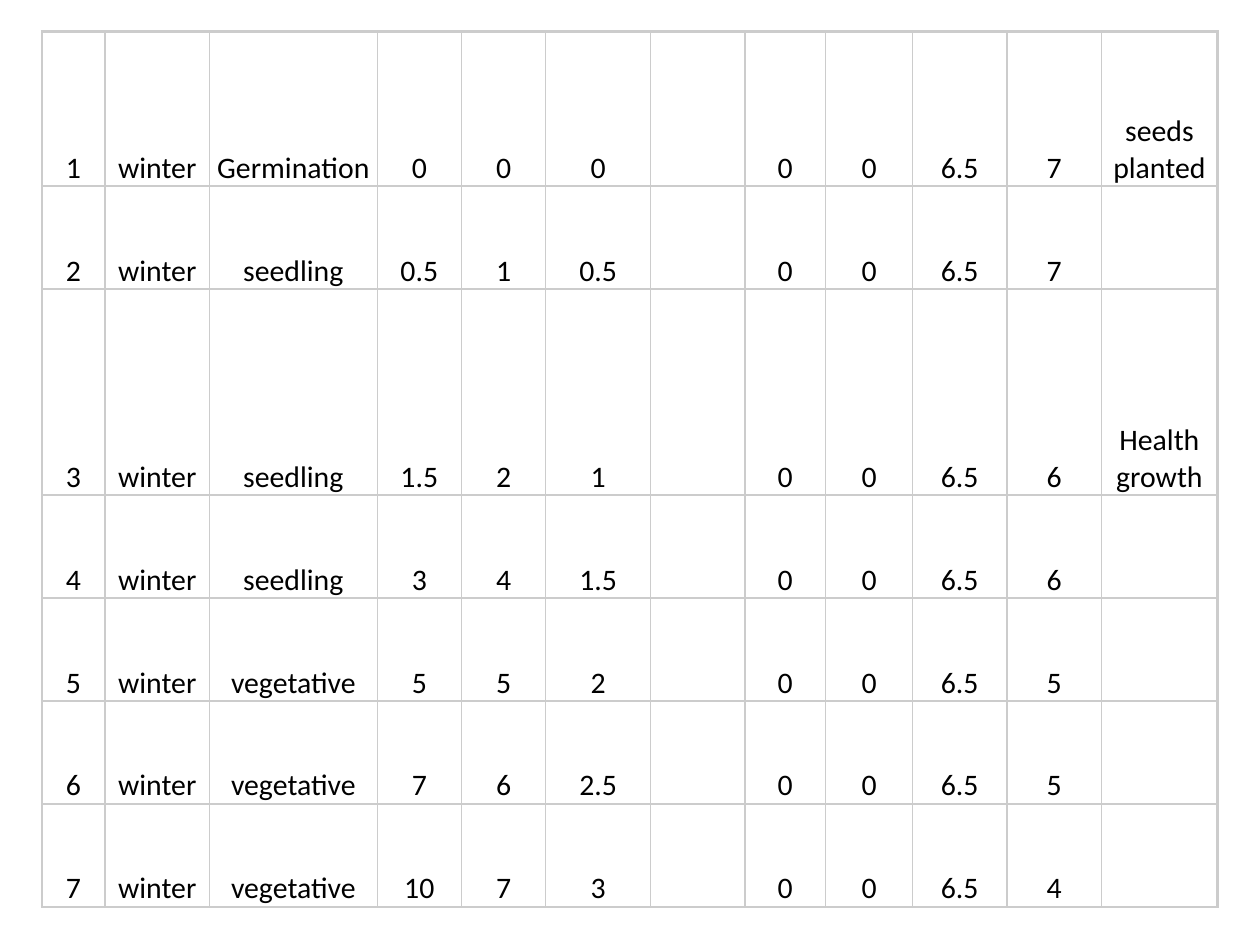
"""Build a slide with a weekly plant growth log as a table."""
from dataclasses import astuple, dataclass

from lxml import etree
from pptx import Presentation, util as u
from pptx.dml.color import RGBColor
from pptx.enum import text
from pptx.oxml import ns

COLORS = {"text": "000000", "border": "CCCCCC"}
FONT, SIZE = "Calibri", 17
THIN, THICK = 0.75, 1.5
SLIDE_W, SLIDE_H = 10, 7.5
LEFT, TOP = SLIDE_W / 30, SLIDE_H / 30
ROW_UNIT = 0.8176
ROW_SPANS = [1.5, 1, 2, 1, 1, 1, 1]
COL_WIDTHS = [0.5, 0.83, 1.33, 0.67, 0.67, 0.83, 0.75, 0.64, 0.69, 0.75, 0.75, 0.92]


@dataclass
class Week:
    number: str
    season: str
    stage: str
    height: str
    leaves: str
    growth: str
    blank: str
    pests: str
    disease: str
    acidity: str
    rating: str
    note: str


def week(number: int, stage: str, height: str, leaves: str, growth: str,
         rating: str, note: str = "") -> Week:
    return Week(str(number), "winter", stage, height, leaves, growth,
                "", "0", "0", "6.5", rating, note)


WEEKS = [
    week(1, "Germination", "0", "0", "0", "7", "seeds planted"),
    week(2, "seedling", "0.5", "1", "0.5", "7"),
    week(3, "seedling", "1.5", "2", "1", "6", "Health growth"),
    week(4, "seedling", "3", "4", "1.5", "6"),
    week(5, "vegetative", "5", "5", "2", "5"),
    week(6, "vegetative", "7", "6", "2.5", "5"),
    week(7, "vegetative", "10", "7", "3", "4"),
]


def set_borders(cell, outer: dict[str, bool]) -> None:
    tc_pr = cell._tc.get_or_add_tcPr()
    for side, is_outer in outer.items():
        width = u.Pt(THICK if is_outer else THIN)
        ln = etree.SubElement(tc_pr, ns.qn(f"a:ln{side}"), w=str(width))
        fill = etree.SubElement(ln, ns.qn("a:solidFill"))
        etree.SubElement(fill, ns.qn("a:srgbClr"), val=COLORS["border"])


def fill_cell(cell, value: str) -> None:
    cell.fill.background()
    cell.vertical_anchor = text.MSO_ANCHOR.BOTTOM
    cell.margin_left = cell.margin_right = u.Inches(0.03)
    cell.margin_top = cell.margin_bottom = 0
    p = cell.text_frame.paragraphs[0]
    p.text = value
    p.alignment = text.PP_ALIGN.CENTER
    p.font.size = u.Pt(SIZE)
    for r in p.runs:
        r.font.name = FONT
        r.font.size = u.Pt(SIZE)
        r.font.color.rgb = RGBColor.from_string(COLORS["text"])


def add_growth_table(s, weeks: list[Week]) -> None:
    n_rows, n_cols = len(weeks), len(COL_WIDTHS)
    size = sum(COL_WIDTHS), sum(ROW_SPANS) * ROW_UNIT
    table = s.shapes.add_table(
        n_rows, n_cols, *(u.Inches(v) for v in (LEFT, TOP, *size))).table
    table.first_row = table.horz_banding = False
    for column, width in zip(table.columns, COL_WIDTHS):
        column.width = u.Inches(width)
    for row, span in zip(table.rows, ROW_SPANS):
        row.height = u.Inches(span * ROW_UNIT)
    for i, entry in enumerate(weeks):
        for j, value in enumerate(astuple(entry)):
            cell = table.cell(i, j)
            set_borders(cell, {"L": j == 0, "R": j == n_cols - 1,
                               "T": i == 0, "B": i == n_rows - 1})
            fill_cell(cell, value)


def main() -> None:
    prs = Presentation()
    prs.slide_width, prs.slide_height = u.Inches(SLIDE_W), u.Inches(SLIDE_H)
    s = prs.slides.add_slide(prs.slide_layouts[6])
    add_growth_table(s, WEEKS)
    prs.save("out.pptx")


if __name__ == "__main__":
    main()
